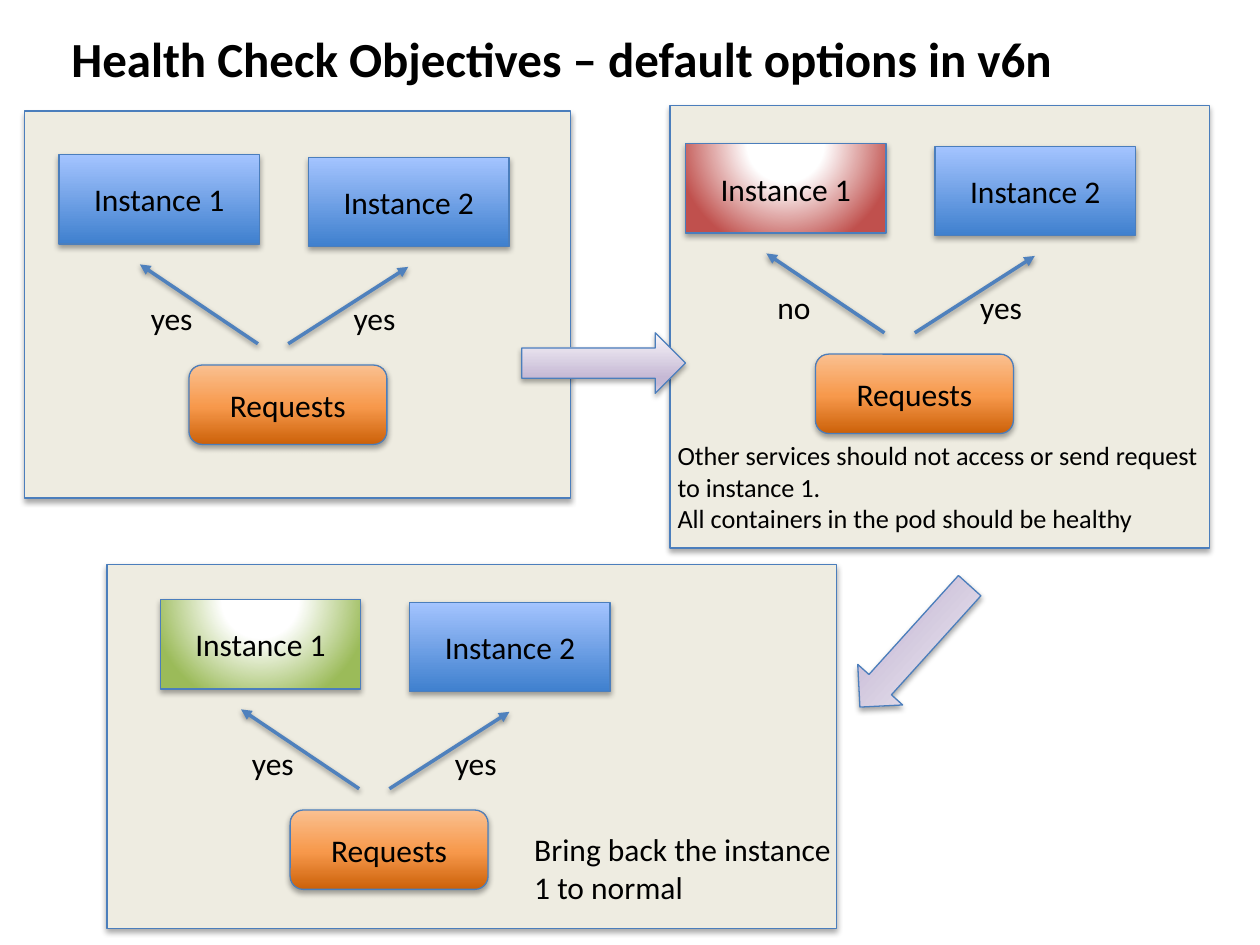
from lxml import etree
from pptx import Presentation
from pptx.dml.color import RGBColor
from pptx.enum.shapes import MSO_CONNECTOR, MSO_SHAPE
from pptx.enum.text import MSO_ANCHOR, MSO_AUTO_SIZE, PP_ALIGN
from pptx.oxml import parse_xml
from pptx.util import Cm, Pt

RECT = MSO_SHAPE.RECTANGLE
ROUND = MSO_SHAPE.ROUNDED_RECTANGLE
ARROW = MSO_SHAPE.RIGHT_ARROW
LINE = MSO_CONNECTOR.STRAIGHT
MIDDLE = MSO_ANCHOR.MIDDLE
GROW = MSO_AUTO_SIZE.SHAPE_TO_FIT_TEXT
LEFT, CENTER = PP_ALIGN.LEFT, PP_ALIGN.CENTER

SPACE = "http://schemas.openxmlformats.org/drawingml/2006/main"
COLORS = {
    "panel": "EEECE1", "edge": "4B7EBC", "link": "4F81BD", "text": "000000",
    "white": "FFFFFF", "red": "C0504D", "green": "9BBB59",
    "navy": "3F80CE", "sky": "A4C4FF",
    "rust": "CC6109", "orange": "F7994C", "peach": "FAC090",
    "mist": "F9F7FA", "lilac": "C6B9D5", "pale": "D9D0E3",
}
UP, DOWN = '<a:lin ang="16200000" scaled="0"/>', '<a:lin ang="5400000" scaled="0"/>'
GLOW = '<a:path path="circle"><a:fillToRect l="50000" t="-80000" r="50000" b="180000"/></a:path>'
FILLS = {
    "blue": (((0, "navy"), (100, "sky")), UP),
    "request": (((0, "rust"), (48, "orange"), (100, "peach")), UP),
    "sick": (((0, "white"), (35, "white"), (100, "red")), GLOW),
    "healed": (((0, "white"), (35, "white"), (100, "green")), GLOW),
    "step": (((0, "mist"), (74, "lilac"), (83, "lilac"), (100, "pale")), DOWN),
}


def color(name):
    return RGBColor.from_string(COLORS[name])


def write(frame, text, size=18, bold=False, align=LEFT):
    frame.text = text
    for line in frame.paragraphs:
        line.alignment = align
        font = line.runs[0].font
        font.name, font.size, font.bold = "Calibri", Pt(size), bold
        font.color.rgb = color("text")


class Board:
    def __init__(self, slide):
        self.slide = slide
        self.edge = Pt(0.75)
        self.link = Pt(2)

    def shade(self, shape, alpha, gap):
        shape._element.spPr.append(parse_xml(
            f'<a:effectLst xmlns:a="{SPACE}"><a:outerShdw blurRad="40000" dist="{gap}" '
            f'dir="5400000" rotWithShape="0"><a:srgbClr val="{COLORS["text"]}">'
            f'<a:alpha val="{alpha}000"/></a:srgbClr></a:outerShdw></a:effectLst>'))

    def blend(self, shape, name):
        stops, path = FILLS[name]
        marks = "".join(f'<a:gs pos="{pos}000"><a:srgbClr val="{COLORS[tone]}"/></a:gs>'
                        for pos, tone in stops)
        shape._element.spPr.append(parse_xml(
            f'<a:gradFill xmlns:a="{SPACE}" rotWithShape="1"><a:gsLst>{marks}</a:gsLst>'
            f'{path}</a:gradFill>'))

    def box(self, kind, area, fill, text="", turn=0):
        shape = self.slide.shapes.add_shape(kind, *map(Cm, area))
        shape.rotation = turn
        if fill in FILLS:
            self.blend(shape, fill)
        else:
            shape.fill.solid()
            shape.fill.fore_color.rgb = color(fill)
        shape.line.color.rgb = color("edge")
        shape.line.width = self.edge
        self.shade(shape, 35, 23000)
        if text:
            shape.text_frame.vertical_anchor = MIDDLE
            write(shape.text_frame, text, align=CENTER)

    def arrow(self, *ends):
        link = self.slide.shapes.add_connector(LINE, *map(Cm, ends))
        link.line.color.rgb = color("link")
        link.line.width = self.link
        etree.SubElement(link.line._get_or_add_ln(), f"{{{SPACE}}}tailEnd", type="triangle")
        self.shade(link, 38, 20000)

    def label(self, area, text, wrap=True, **style):
        frame = self.slide.shapes.add_textbox(*map(Cm, area)).text_frame
        frame.word_wrap = wrap
        frame.auto_size = GROW
        write(frame, text, **style)

    def group(self, x, y, fill, reply):
        self.box(ROUND, (x + 2.62, y + 4.24, 3.99, 1.6), "request", "Requests")
        self.box(RECT, (x, y, 4.04, 1.8), fill, "Instance 1")
        self.box(RECT, (x + 5.03, y + 0.05, 4.04, 1.8), "blue", "Instance 2")
        self.arrow(x + 4.01, y + 3.81, x + 1.63, y + 2.21)
        self.arrow(x + 4.62, y + 3.81, x + 7.04, y + 2.26)
        for left, text in ((1.6, reply), (5.69, "yes")):
            self.label((x + left, y + 2.79, 1.37 if text == "yes" else 1.19, 1.02),
                       text, wrap=False)


def main():
    deck = Presentation()
    deck.slide_width, deck.slide_height = Cm(25.4), Cm(19.05)
    board = Board(deck.slides.add_slide(deck.slide_layouts[6]))

    for area in ((2.16, 11.38, 14.71, 7.34), (13.51, 2.13, 10.87, 8.92),
                 (0.5, 2.24, 11, 7.8)):
        board.box(RECT, area, "panel")

    board.group(1.19, 3.12, "blue", "yes")
    board.group(13.82, 2.9, "sick", "no")
    board.group(3.23, 12.09, "healed", "yes")

    board.label((13.41, 8.74, 11.1, 2.18),
                "Other services should not access or send request to instance 1.\n"
                "All containers in the pod should be healthy", size=15)
    board.label((10.52, 16.61, 6.63, 1.8), "Bring back the instance 1 to normal")
    board.label((1.19, 0.46, 21.69, 1.45),
                "Health Check Objectives – default options in v6n", size=28, bold=True)

    board.box(ARROW, (10.52, 6.71, 3.3, 1.22), "step")
    board.box(ARROW, (16.79, 12.42, 3.3, 1.22), "step", turn=132.1)
    deck.save("out.pptx")


if __name__ == "__main__":
    main()
